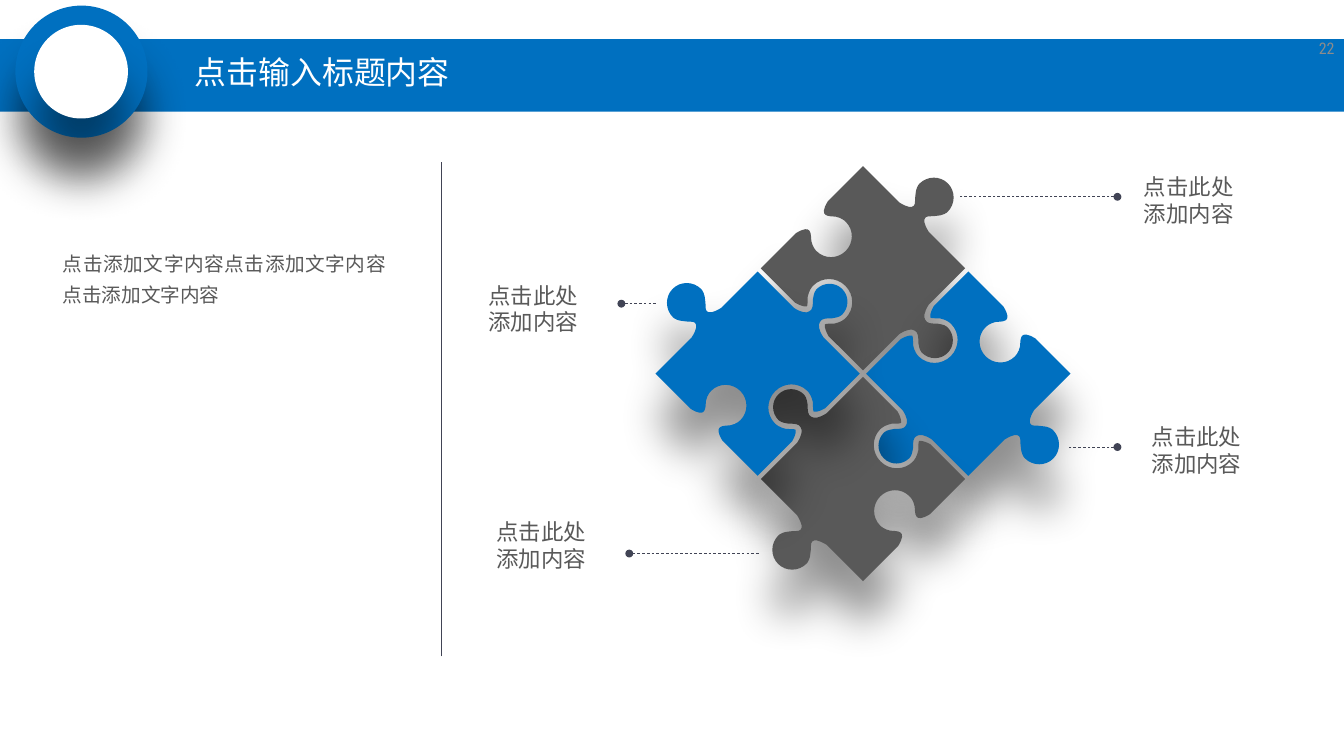
import math

import lxml.etree
import pptx
import pptx.dml.color
import pptx.enum.dml
import pptx.enum.shapes
import pptx.enum.text
import pptx.oxml.ns
import pptx.util

Cm = pptx.util.Cm
RGBColor = pptx.dml.color.RGBColor
qn = pptx.oxml.ns.qn
MSO_SHAPE = pptx.enum.shapes.MSO_SHAPE
MSO_ANCHOR = pptx.enum.text.MSO_ANCHOR
PP_ALIGN = pptx.enum.text.PP_ALIGN

BLUE = RGBColor(0x00, 0x70, 0xC0)
GRAY = RGBColor(0x59, 0x59, 0x59)
NUMBER_GRAY = RGBColor(0x8C, 0x8C, 0x8C)
SLATE = RGBColor(0x41, 0x44, 0x55)
WHITE = RGBColor(0xFF, 0xFF, 0xFF)
FONT = "Roboto Condensed"

HALF_SIDE = 1.92
PIECE_OFFSET = 1.98
OUTER_KNOB = [(-0.55, 0),
              (-0.3, 0.06), (-0.22, 0.13), (-0.22, 0.21),
              (-0.22, 0.28), (-0.33, 0.35), (-0.39, 0.44),
              (-0.51, 0.57), (-0.53, 0.69), (-0.53, 0.73),
              (-0.53, 1.03), (-0.29, 1.27), (0, 1.27)]
INNER_KNOB = [(-0.55, 0),
              (-0.32, 0.05), (-0.22, 0.13), (-0.2, 0.22),
              (-0.16, 0.32), (-0.25, 0.41), (-0.36, 0.52),
              (-0.47, 0.67), (-0.48, 0.73), (-0.48, 0.77),
              (-0.48, 1.04), (-0.27, 1.26), (0, 1.26)]
INNER_SOCKET = [(-0.62, 0),
                (-0.38, 0.07), (-0.36, 0.13), (-0.34, 0.15),
                (-0.34, 0.18), (-0.41, 0.25), (-0.5, 0.34),
                (-0.6, 0.49), (-0.61, 0.61), (-0.61, 0.66),
                (-0.61, 0.99), (-0.34, 1.26), (0, 1.26)]
OUTER_SOCKET = [(-0.6, 0),
                (-0.1, 0.12), (-0.35, 0.3), (-0.46, 0.44),
                (-0.55, 0.58), (-0.55, 0.69), (-0.55, 0.73),
                (-0.55, 1.03), (-0.3, 1.27), (0, 1.27)]
SIDES = [(OUTER_KNOB, 1), (INNER_KNOB, 1), (INNER_SOCKET, -1), (OUTER_SOCKET, -1)]

CALLOUTS = [
    ((12.73, 7.36), (16.51, 8.07), 17.48),
    ((30.14, 4.47), (29.69, 5.23), 25.52),
    ((12.94, 13.64), (16.72, 14.71), 20.2),
    ((30.35, 11.13), (29.69, 11.88), 28.37),
]


def rotate(point, degrees):
    x, y = point
    cosine, sine = math.cos(math.radians(degrees)), math.sin(math.radians(degrees))
    return x * cosine - y * sine, x * sine + y * cosine


def format_text(text_frame, size, color, alignment=PP_ALIGN.LEFT):
    for paragraph in text_frame.paragraphs:
        paragraph.alignment = alignment
        for run in paragraph.runs:
            run.font.size = pptx.util.Pt(size)
            run.font.name = FONT
            run.font.color.rgb = color


def add_text(slide, box, text, size, color, alignment=PP_ALIGN.LEFT):
    shape = slide.shapes.add_textbox(*map(Cm, box))
    text_frame = shape.text_frame
    text_frame.word_wrap = True
    text_frame.text = text
    format_text(text_frame, size, color, alignment)
    return text_frame


def paint(shape, color, shadow=False):
    shape.fill.solid()
    shape.fill.fore_color.rgb = color
    shape.line.fill.background()
    shape.shadow.inherit = False
    if shadow:
        effects = shape.element.spPr.find(qn("a:effectLst"))
        outer_shadow = lxml.etree.SubElement(
            effects, qn("a:outerShdw"), blurRad="419100", dist="419100",
            dir="5400000", algn="t", rotWithShape="0")
        black = lxml.etree.SubElement(outer_shadow, qn("a:srgbClr"), val="000000")
        lxml.etree.SubElement(black, qn("a:alpha"), val="43000")


def add_line(slide, start, end, width, dotted_lead=False):
    connector = slide.shapes.add_connector(
        pptx.enum.shapes.MSO_CONNECTOR.STRAIGHT, *map(Cm, start + end))
    connector.line.color.rgb = SLATE
    connector.line.width = pptx.util.Pt(width)
    properties = connector.element.spPr
    if dotted_lead:
        connector.line.dash_style = pptx.enum.dml.MSO_LINE.DASH
        lxml.etree.SubElement(properties.find(qn("a:ln")), qn("a:headEnd"), type="oval")
    lxml.etree.SubElement(properties, qn("a:effectLst"))


def add_header(slide, left, top, width):
    bar = slide.shapes.add_shape(
        MSO_SHAPE.RECTANGLE, Cm(left), Cm(top), Cm(width), Cm(1.93))
    paint(bar, BLUE)
    for inset, rise, diameter, color in ((0.41, 0.89, 3.51, BLUE), (0.91, 0.38, 2.49, WHITE)):
        circle = slide.shapes.add_shape(
            MSO_SHAPE.OVAL, Cm(left + inset), Cm(top - rise), Cm(diameter), Cm(diameter))
        paint(circle, color, shadow=True)

    title = slide.shapes.title
    title.left, title.top = Cm(left + 4.92), Cm(top + 0.23)
    title.width, title.height = Cm(8.81), Cm(1.4)
    title.text_frame.text = "点击输入标题内容"
    title.text_frame.vertical_anchor = MSO_ANCHOR.MIDDLE
    title.text_frame.paragraphs[0].line_spacing = 0.9
    format_text(title.text_frame, 24, WHITE)
    title.element.getparent().append(title.element)

    number = add_text(slide, (left + width - 1.75, top - 0.3, 1.75, 1.07),
                      "22", 12, NUMBER_GRAY, PP_ALIGN.RIGHT)
    number.vertical_anchor = MSO_ANCHOR.MIDDLE


def piece_outline():
    outline = [(HALF_SIDE, -HALF_SIDE)]
    for quarter, (profile, direction) in enumerate(SIDES):
        mirrored = [(-along, out) for along, out in reversed(profile[:-1])]
        side = profile[:1] * 3 + profile[1:] + mirrored + [(HALF_SIDE, 0)] * 3
        outline += [rotate((HALF_SIDE + direction * out, along), 90 * quarter)
                    for along, out in side]
    return outline


def curve_outline(piece):
    segments = list(piece.element.iter(qn("a:lnTo")))
    for first in range(0, len(segments), 3):
        curve = lxml.etree.Element(qn("a:cubicBezTo"))
        segments[first].addprevious(curve)
        for segment in segments[first:first + 3]:
            curve.append(segment[0])
            segment.getparent().remove(segment)


def add_puzzle(slide, hub_x, hub_y):
    outline = piece_outline()
    for quarter, color in enumerate((GRAY, BLUE, GRAY, BLUE)):
        points = []
        for x, y in outline:
            turned = rotate((x + PIECE_OFFSET, y - PIECE_OFFSET), 90 * quarter)
            points.append((Cm(hub_x + turned[0]), Cm(hub_y + turned[1])))
        builder = slide.shapes.build_freeform(*points[0])
        builder.add_line_segments(points[1:], close=True)
        piece = builder.convert_to_shape()
        curve_outline(piece)
        center = (piece.left + piece.width / 2 - Cm(hub_x),
                  piece.top + piece.height / 2 - Cm(hub_y))
        x, y = rotate(center, -45)
        piece.left = round(Cm(hub_x) + x - piece.width / 2)
        piece.top = round(Cm(hub_y) + y - piece.height / 2)
        piece.rotation = 315
        paint(piece, color, shadow=True)


def add_callouts(slide):
    for label, dot, line_end in CALLOUTS:
        add_line(slide, dot, (line_end, dot[1]), 0.5, dotted_lead=True)
        text_frame = add_text(slide, label + (2.92, 1.7), "点击此处\n添加内容", 16.9, GRAY)
        text_frame.word_wrap = False
        text_frame.auto_size = pptx.enum.text.MSO_AUTO_SIZE.SHAPE_TO_FIT_TEXT


def add_description(slide, left, top, width, height):
    text_frame = add_text(
        slide, (left, top, width, height),
        "点击添加文字内容点击添加文字内容点击添加文字内容", 14.8, GRAY, PP_ALIGN.JUSTIFY)
    text_frame.paragraphs[0].line_spacing = 1.3
    divider_x = left + width + 1.22
    add_line(slide, (divider_x, 17.44), (divider_x, 4.31), 0.25)


def main():
    presentation = pptx.Presentation()
    presentation.slide_width, presentation.slide_height = Cm(35.71), Cm(20.09)
    slide = presentation.slides.add_slide(presentation.slide_layouts[5])
    add_header(slide, 0, 1.04, 35.71)
    add_puzzle(slide, 22.93, 9.93)
    add_callouts(slide)
    add_description(slide, 1.42, 6.39, 9.09, 5.97)
    presentation.save("out.pptx")


if __name__ == "__main__":
    main()
